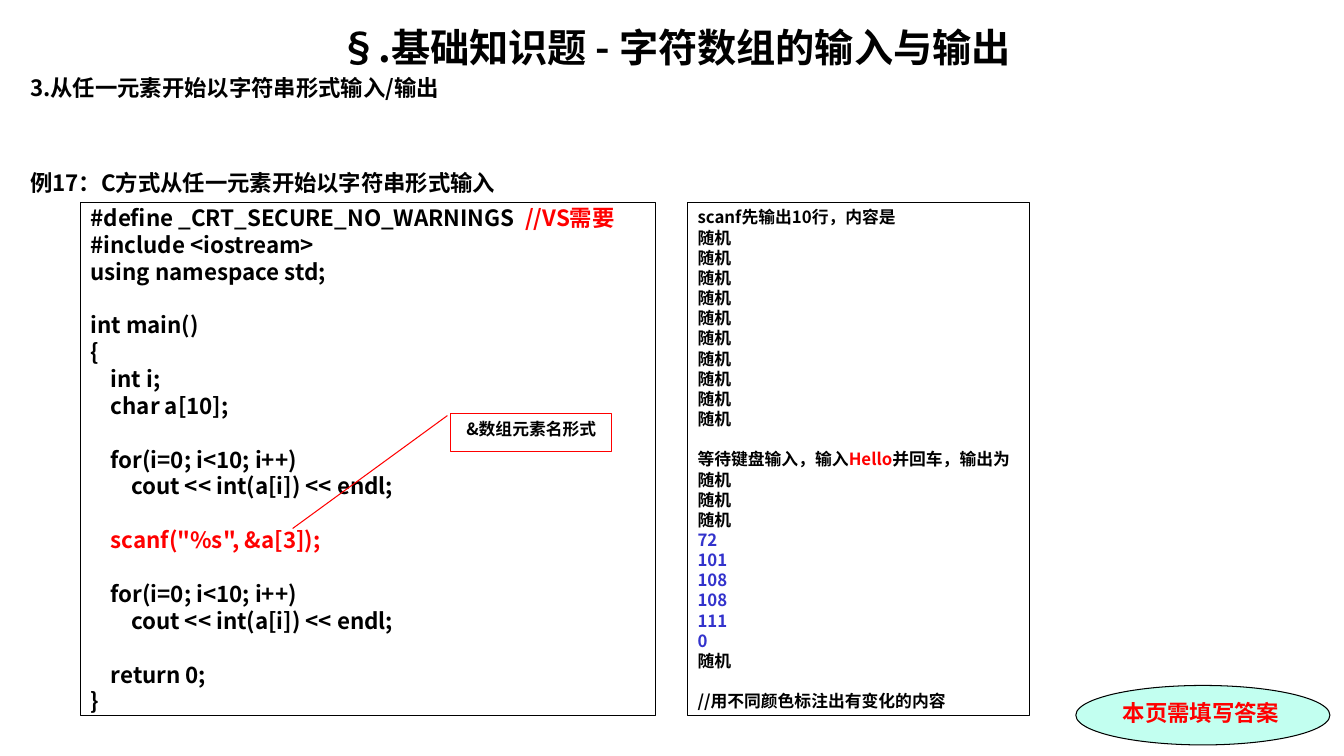
"""Build the slide on reading and printing character arrays from any element."""
from dataclasses import dataclass

from lxml import etree
from pptx import Presentation
from pptx.dml.color import RGBColor
from pptx.enum.shapes import MSO_SHAPE
from pptx.enum.text import MSO_ANCHOR, PP_ALIGN
from pptx.oxml.ns import qn
from pptx.util import Inches, Pt

RECT, OVAL, CALL = MSO_SHAPE.RECTANGLE, MSO_SHAPE.OVAL, MSO_SHAPE.LINE_CALLOUT_1
LEFT, MID, FULL = PP_ALIGN.LEFT, PP_ALIGN.CENTER, PP_ALIGN.JUSTIFY
TOP, CORE = MSO_ANCHOR.TOP, MSO_ANCHOR.MIDDLE
HEX = {"black": "000000", "red": "FF0000", "blue": "3333CC", "mint": "C2FFF0"}
SANS, SERIF = "Noto Sans CJK SC", "Times New Roman"
CELL = 0.1
LEAD = 1.2


@dataclass(frozen=True)
class Bit:
    """A stretch of text in one colour."""
    text: str
    ink: str = "black"


@dataclass(frozen=True)
class Line:
    """One paragraph, with its gap above in points."""
    bits: tuple[Bit, ...]
    size: int
    gap: float = 0
    align: PP_ALIGN = LEFT


@dataclass(frozen=True)
class Box:
    """A text holder placed by grid columns and rows."""
    col: float
    row: float
    cols: float
    rows: float
    lines: list[Line]
    form: MSO_SHAPE | None = RECT
    edge: str = "black"
    fill: str = ""
    font: str = SANS
    hold: MSO_ANCHOR = TOP
    wrap: bool = True
    bends: tuple[float, ...] = ()


def tint(name: str) -> RGBColor:
    """Look up a named colour."""
    return RGBColor.from_string(HEX[name])


def block(size: int, *groups: list[tuple[Bit, ...]]) -> list[Line]:
    """Join groups of lines, one line height apart."""
    return [Line(bits, size, LEAD * size if g and not i else 0)
            for g, group in enumerate(groups) for i, bits in enumerate(group)]


def plain(text: str, ink: str = "black") -> list[tuple[Bit, ...]]:
    """Split text into lines of one colour."""
    return [(Bit(row, ink),) for row in text.split("\n")]


def write(frame, box: Box) -> None:
    """Fill a text frame with the lines of a box."""
    frame.word_wrap, frame.vertical_anchor = box.wrap, box.hold
    for i, line in enumerate(box.lines):
        para = frame.add_paragraph() if i else frame.paragraphs[0]
        para.alignment = line.align
        para.line_spacing = Pt(LEAD * line.size)
        para.space_before = Pt(line.gap)
        for bit in line.bits:
            run = para.add_run()
            run.text = bit.text
            font = run.font
            font.size, font.bold, font.name = Pt(line.size), True, box.font
            font.color.rgb = tint(bit.ink)
            east = etree.SubElement(run._r.get_or_add_rPr(), qn("a:ea"))
            east.set("typeface", SANS)


def draw(slide, box: Box) -> None:
    """Place a box on the slide."""
    place = [Inches(n * CELL) for n in (box.col, box.row, box.cols, box.rows)]
    if box.form is None:
        shape = slide.shapes.add_textbox(*place)
    else:
        shape = slide.shapes.add_shape(box.form, *place)
        shape.shadow.inherit = False
        shape.line.color.rgb, shape.line.width = tint(box.edge), Pt(0.75)
        if box.fill:
            shape.fill.solid()
            shape.fill.fore_color.rgb = tint(box.fill)
        else:
            shape.fill.background()
        for i, bend in enumerate(box.bends):
            shape.adjustments[i] = bend
    write(shape.text_frame, box)


HEAD = [
    Line((Bit("§.基础知识题 - 字符数组的输入与输出"),), 28, 0, MID),
    Line((Bit("3.从任一元素开始以字符串形式输入/输出"),), 16, 3.2, FULL),
    Line((Bit("例17：C方式从任一元素开始以字符串形式输入"),), 16, 48, FULL),
]
LOOP = plain("    for(i=0; i<10; i++)\n        cout << int(a[i]) << endl;")
CODE = block(
    16,
    [(Bit("#define _CRT_SECURE_NO_WARNINGS"), Bit("  //VS需要", "red")),
     *plain("#include <iostream>\nusing namespace std;")],
    plain("int main()\n{\n    int i;\n    char a[10];"),
    LOOP,
    plain('    scanf("%s", &a[3]);', "red"),
    LOOP,
    plain("    return 0;\n}"),
)
NOISE = plain("随机")
ECHO = block(
    12,
    plain("scanf先输出10行，内容是") + NOISE * 10,
    [(Bit("等待键盘输入，输入"), Bit("Hello", "red"), Bit("并回车，输出为")),
     *NOISE * 3, *plain("72\n101\n108\n108\n111\n0", "blue"), *NOISE],
    plain("//用不同颜色标注出有变化的内容"),
)
NOTE = [Line((Bit("&数组元素名形式"),), 12, 0, MID)]
TASK = [Line((Bit("本页需填写答案", "red"),), 16)]

BOXES = [
    Box(2, 1.8, 129.9, 70.9, HEAD, form=None),
    Box(106.7, 68, 25.2, 5.9, TASK, OVAL, fill="mint", font=SERIF),
    Box(8, 20.1, 57, 50.9, CODE, hold=CORE, wrap=False),
    Box(68.2, 20.1, 33.9, 50.9, ECHO, hold=CORE, wrap=False),
    Box(44.7, 41, 16, 3.8, NOTE, CALL, edge="red",
        bends=(0.06, -0.02, 3.01, -0.98)),
]


def main() -> None:
    """Make the deck and save it."""
    deck = Presentation()
    deck.slide_width, deck.slide_height = Inches(13.33), Inches(7.5)
    slide = deck.slides.add_slide(deck.slide_layouts[6])
    for box in BOXES:
        draw(slide, box)
    deck.save("out.pptx")


if __name__ == "__main__":
    main()
